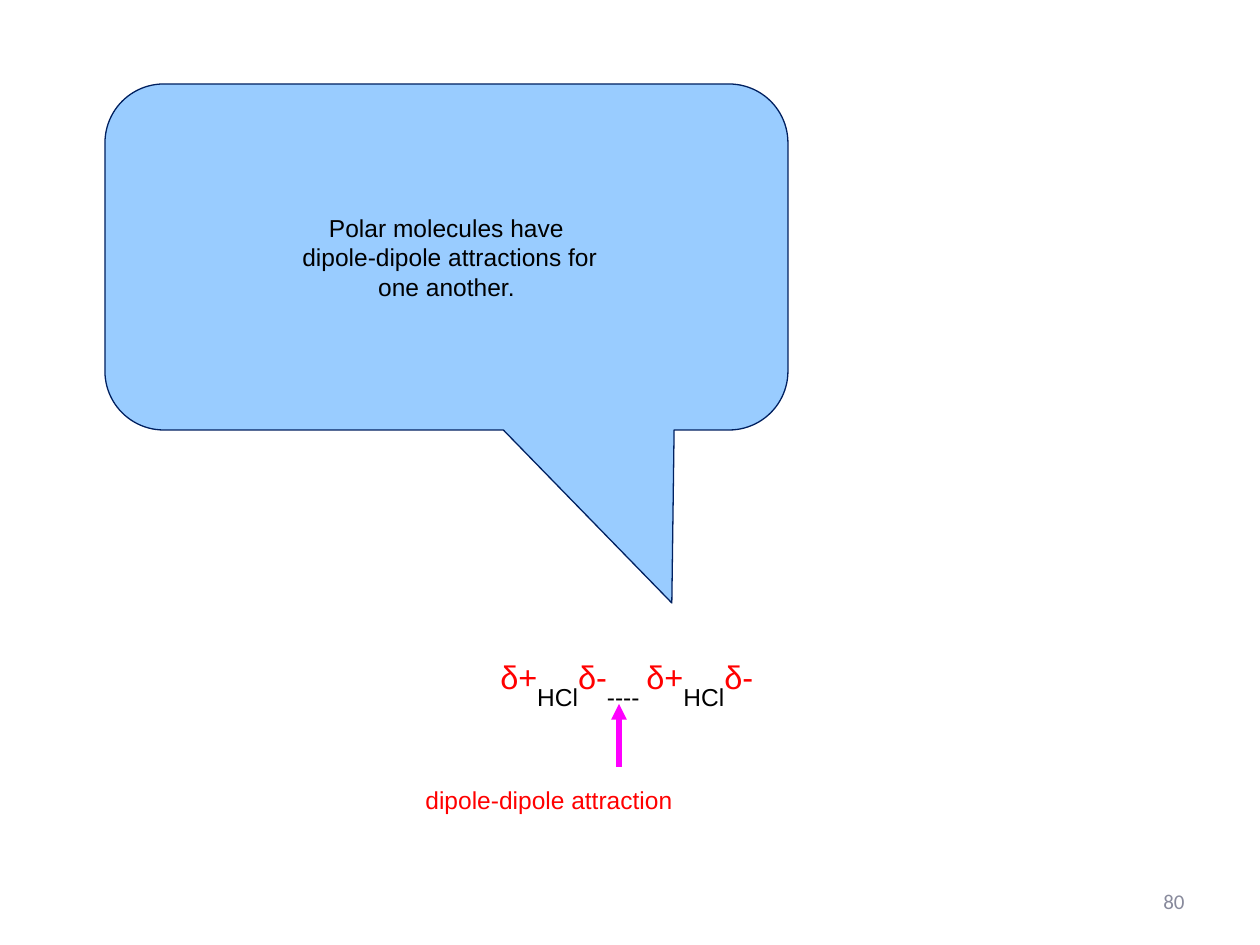
from pptx import Presentation
from pptx.dml.color import RGBColor
from pptx.enum.shapes import MSO_CONNECTOR, MSO_SHAPE
from pptx.enum.text import MSO_ANCHOR, MSO_AUTO_SIZE, PP_ALIGN
from pptx.oxml.ns import qn
from pptx.util import Inches, Pt
from lxml.etree import SubElement

BLACK = RGBColor(0x00, 0x00, 0x00)
RED = RGBColor(0xFF, 0x00, 0x00)
MAGENTA = RGBColor(0xFF, 0x00, 0xFF)
SKY = RGBColor(0x99, 0xCC, 0xFF)
NAVY = RGBColor(0x00, 0x20, 0x60)
GREY = RGBColor(0x88, 0x8A, 0x9C)

PX = Inches(1) / 126


def px(*lengths):
    return [round(length * PX) for length in lengths]


def style(font, size, color, name="Arial"):
    font.size = Pt(size)
    font.color.rgb = color
    font.name = name


prs = Presentation()
prs.slide_width, prs.slide_height = px(1260, 945)
slide = prs.slides.add_slide(prs.slide_layouts[6])
shapes = slide.shapes

# Page number
page_number = shapes.add_textbox(*px(903, 876, 294, 50)).text_frame
page_number.word_wrap = True
page_number.vertical_anchor = MSO_ANCHOR.MIDDLE
page_number.text = "80"
page_number.paragraphs[0].alignment = PP_ALIGN.RIGHT
style(page_number.paragraphs[0].runs[0].font, 12, GREY, "Calibri")

# Speech bubble pointing at the molecules
bubble = shapes.add_shape(MSO_SHAPE.ROUNDED_RECTANGULAR_CALLOUT, *px(105, 84, 683, 346))
bubble.shadow.inherit = False
for index, value in enumerate((0.33, 1.0, 0.17)):
    bubble.adjustments[index] = value
bubble.fill.solid()
bubble.fill.fore_color.rgb = SKY
bubble.line.color.rgb = NAVY
bubble.line.width = Pt(0.75)
statement = bubble.text_frame
statement.word_wrap = False
statement.vertical_anchor = MSO_ANCHOR.MIDDLE
statement.text = "Polar molecules have\n dipole-dipole attractions for\none another."
for paragraph in statement.paragraphs:
    paragraph.alignment = PP_ALIGN.CENTER
    style(paragraph.runs[0].font, 14, BLACK)

# Two molecules with raised partial charges
molecules = shapes.add_textbox(*px(488, 644, 381, 63)).text_frame
molecules.word_wrap = False
molecules.auto_size = MSO_AUTO_SIZE.SHAPE_TO_FIT_TEXT
for part in ("δ+", "HCl", "δ-", "---- ", "δ+", "HCl", "δ-"):
    run = molecules.paragraphs[0].add_run()
    run.text = part
    if part.startswith("δ"):
        style(run.font, 32, RED)
        run.font._element.set("baseline", "30000")
    else:
        style(run.font, 14, BLACK)

# Arrow up to the attraction
arrow = shapes.add_connector(MSO_CONNECTOR.STRAIGHT, *px(619, 767, 619, 704))
arrow.line.color.rgb = MAGENTA
arrow.line.width = Pt(3)
SubElement(arrow.line._get_or_add_ln(), qn("a:tailEnd"), type="triangle")
SubElement(arrow._element.spPr, qn("a:effectLst"))

# Arrow label
attraction = shapes.add_textbox(*px(413, 779, 446, 63)).text_frame
attraction.word_wrap = False
attraction.auto_size = MSO_AUTO_SIZE.SHAPE_TO_FIT_TEXT
attraction.text = "dipole-dipole attraction"
style(attraction.paragraphs[0].runs[0].font, 14, RED)

prs.save("out.pptx")
